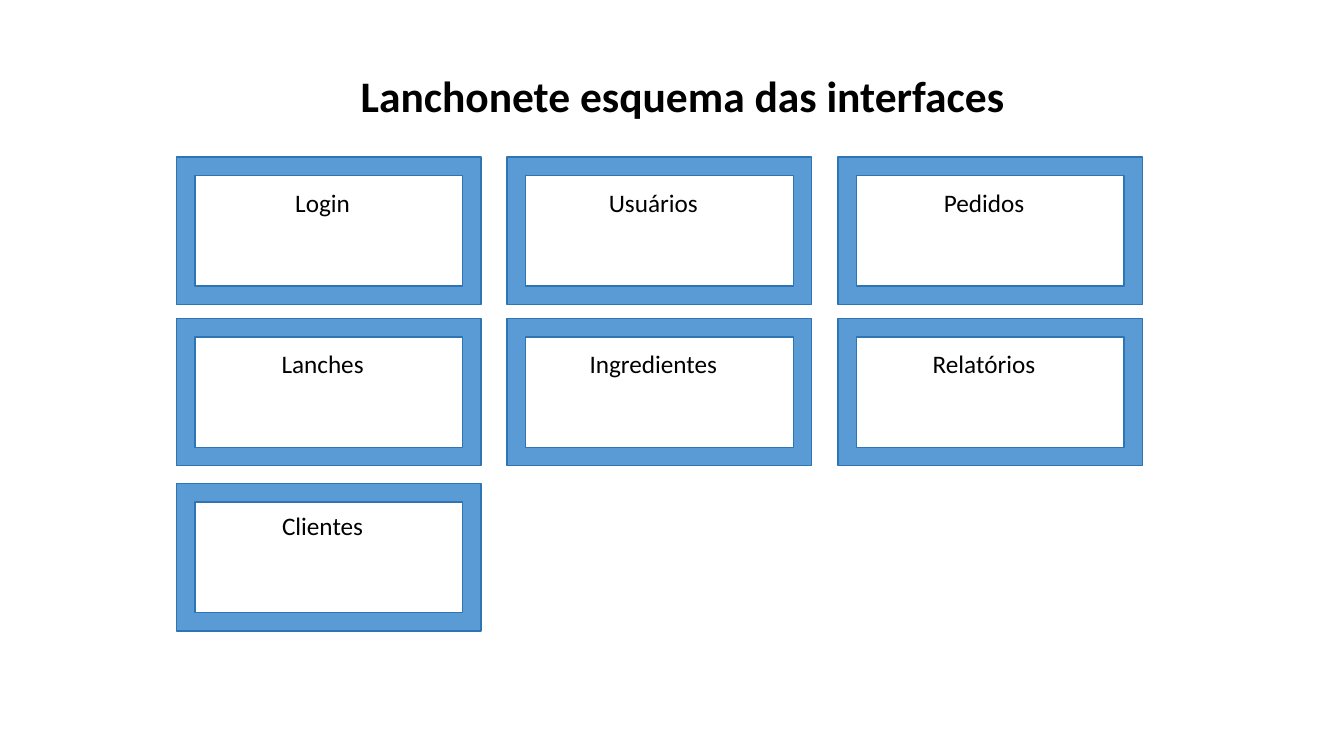
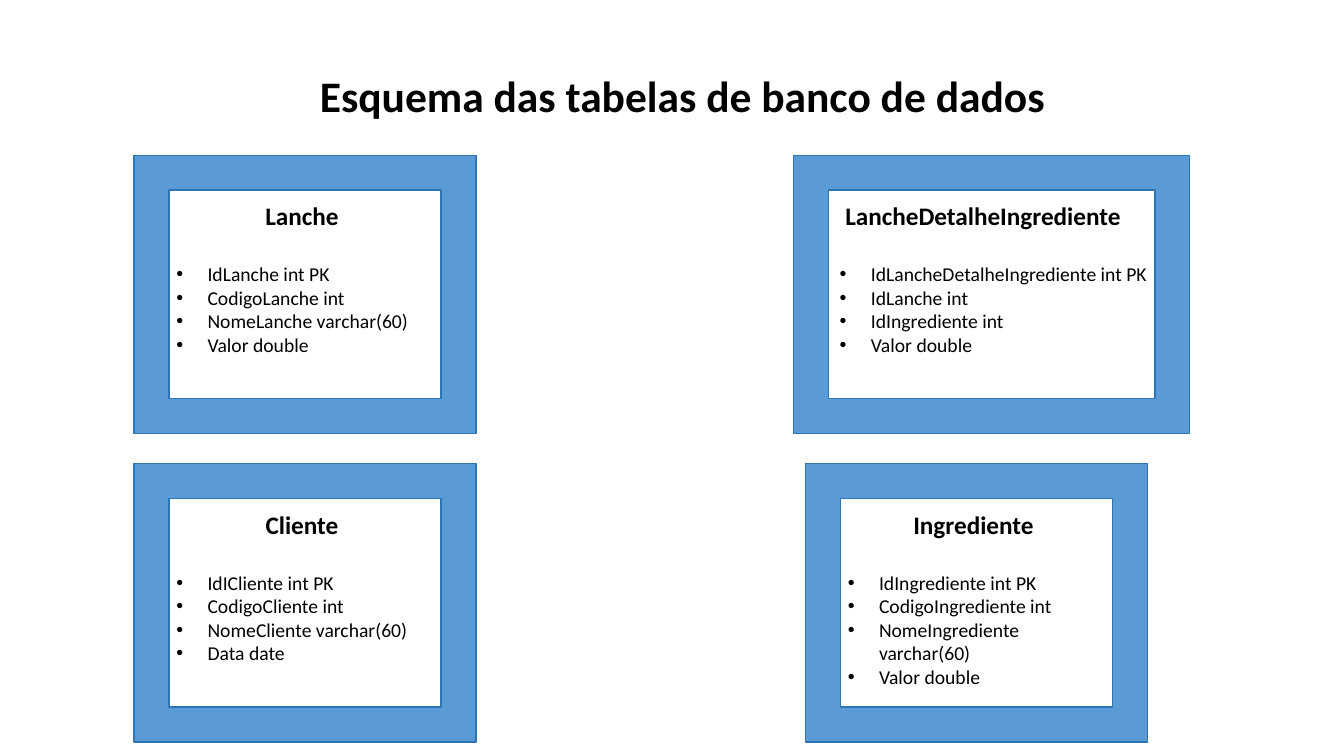
from dataclasses import dataclass

from lxml import etree
from pptx import Presentation
from pptx.dml.color import RGBColor
from pptx.enum.shapes import MSO_SHAPE
from pptx.enum.text import MSO_ANCHOR, PP_ALIGN
from pptx.oxml.ns import qn
from pptx.presentation import Presentation as Deck
from pptx.slide import Slide
from pptx.text.text import TextFrame, _Paragraph as Paragraph
from pptx.util import Inches, Pt

FRAME = MSO_SHAPE.FRAME
CENTER = PP_ALIGN.CENTER
LEFT = PP_ALIGN.LEFT
BOTTOM = MSO_ANCHOR.BOTTOM
FONT = "Calibri"
COLORS = {"text": "000000", "fill": "5B9BD5", "line": "2E75B6"}

SCREEN_ROWS = [
    ["Login", "Usuários", "Pedidos"],
    ["Lanches", "Ingredientes", "Relatórios"],
    ["Clientes"],
]
SCREEN_LEFT, SCREEN_PITCH = 1.75, 3.28
SCREEN_TOPS = [1.56, 3.16, 4.8]
LABEL_TOP, LABEL_PITCH = 1.81, 1.6


@dataclass(frozen=True)
class TableSize:
    frame_width: float
    text_inset: float
    name_width: float
    fields_width: float


@dataclass(frozen=True)
class DatabaseTable:
    name: str
    left: float
    top: float
    size: TableSize
    fields: list[str]


NORMAL = TableSize(3.39, 0.32, 2.69, 2.69)
WIDE = TableSize(3.93, 0.36, 3.04, 3.38)
UPPER, LOWER = 1.54, 4.6

TABLES = [
    DatabaseTable("Lanche", 1.33, UPPER, NORMAL, [
        "IdLanche int PK", "CodigoLanche int",
        "NomeLanche varchar(60)", "Valor double"]),
    DatabaseTable("LancheDetalheIngrediente", 7.87, UPPER, WIDE, [
        "IdLancheDetalheIngrediente int PK", "IdLanche int",
        "IdIngrediente int", "Valor double"]),
    DatabaseTable("Cliente", 1.33, LOWER, NORMAL, [
        "IdICliente int PK", "CodigoCliente int",
        "NomeCliente varchar(60)", "Data date"]),
    DatabaseTable("Ingrediente", 7.99, LOWER, NORMAL, [
        "IdIngrediente int PK", "CodigoIngrediente int",
        "NomeIngrediente varchar(60)", "Valor double"]),
]


def add_text(page: Slide, text: str, left: float, top: float, width: float,
             height: float = 0.4, size: float = 18, bold: bool = False,
             align: PP_ALIGN = CENTER) -> TextFrame:
    """Add a wrapped text box; each line of the text is a paragraph."""
    box = page.shapes.add_textbox(
        Inches(left), Inches(top), Inches(width), Inches(height))
    frame = box.text_frame
    frame.word_wrap = True
    frame.text = text
    for para in frame.paragraphs:
        para.alignment = align
        for span in para.runs:
            span.font.name = FONT
            span.font.size = Pt(size)
            span.font.bold = bold
            span.font.color.rgb = RGBColor.from_string(COLORS["text"])
    return frame


def add_frame(page: Slide, left: float, top: float, width: float,
              height: float) -> None:
    shape = page.shapes.add_shape(
        FRAME, Inches(left), Inches(top), Inches(width), Inches(height))
    shape.shadow.inherit = False
    shape.fill.solid()
    shape.fill.fore_color.rgb = RGBColor.from_string(COLORS["fill"])
    shape.line.color.rgb = RGBColor.from_string(COLORS["line"])
    shape.line.width = Pt(1)


def add_bullet(para: Paragraph) -> None:
    properties = para._p.get_or_add_pPr()
    properties.set("marL", str(Inches(0.31)))
    properties.set("indent", str(Inches(-0.31)))
    etree.SubElement(properties, qn("a:buFont"), typeface="Arial")
    etree.SubElement(properties, qn("a:buChar"), char="•")


def add_page(deck: Deck, title: str) -> Slide:
    """Add a blank slide with the shared title."""
    page = deck.slides.add_slide(deck.slide_layouts[6])
    frame = add_text(page, title, 1.77, 0.3, 10, 0.95, size=31.1, bold=True)
    frame.vertical_anchor = BOTTOM
    frame.paragraphs[0].line_spacing = 1.3
    return page


def add_table_card(page: Slide, table: DatabaseTable) -> None:
    size = table.size
    text_left = table.left + size.text_inset
    add_frame(page, table.left, table.top, size.frame_width, 2.76)
    add_text(page, table.name, text_left, table.top + 0.4, size.name_width,
             bold=True)
    fields = add_text(page, "\n".join(table.fields), text_left,
                      table.top + 1.01, size.fields_width, 1.38, size=14,
                      align=LEFT)
    for para in fields.paragraphs:
        add_bullet(para)


def build_interfaces(deck: Deck) -> None:
    page = add_page(deck, "Lanchonete esquema das interfaces")
    for row, (top, names) in enumerate(zip(SCREEN_TOPS, SCREEN_ROWS)):
        for column, name in enumerate(names):
            left = SCREEN_LEFT + column * SCREEN_PITCH
            add_frame(page, left, top, 3.02, 1.46)
            add_text(page, name, left + 0.3, LABEL_TOP + row * LABEL_PITCH, 2.3)


def build_database(deck: Deck) -> None:
    page = add_page(deck, "Esquema das tabelas de banco de dados")
    for table in TABLES:
        add_table_card(page, table)


def main() -> None:
    deck = Presentation()
    deck.slide_width = Inches(13.33)
    deck.slide_height = Inches(7.5)
    build_interfaces(deck)
    build_database(deck)
    deck.save("out.pptx")


if __name__ == "__main__":
    main()
